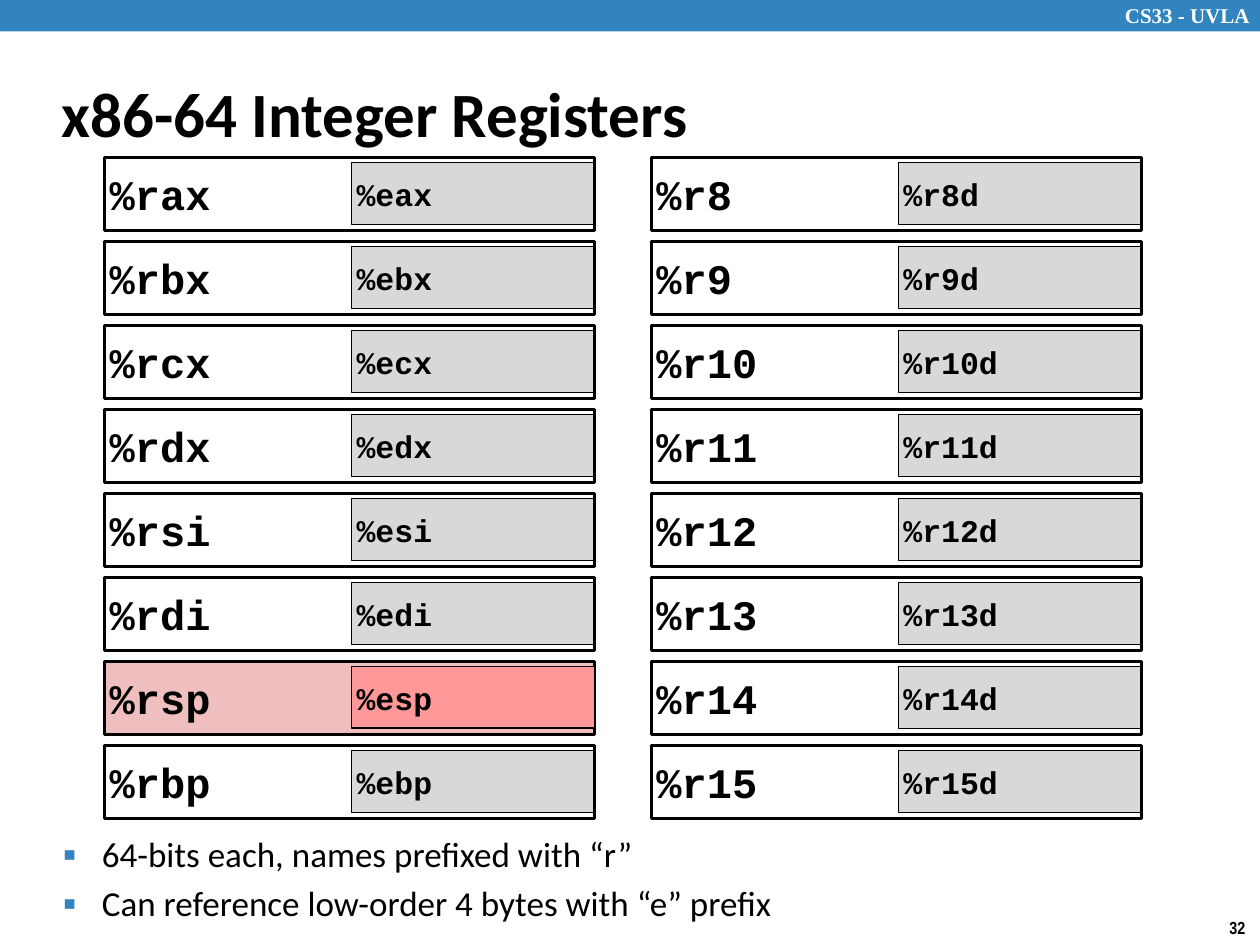
from dataclasses import dataclass

from lxml import etree
from pptx import Presentation
from pptx.dml.color import RGBColor
from pptx.enum.shapes import MSO_SHAPE
from pptx.enum.text import MSO_ANCHOR, PP_ALIGN
from pptx.oxml.ns import qn
from pptx.util import Inches, Pt

RECT = MSO_SHAPE.RECTANGLE
TOP, MIDDLE = MSO_ANCHOR.TOP, MSO_ANCHOR.MIDDLE
LEFT = PP_ALIGN.LEFT


@dataclass(frozen=True)
class Theme:
    accent: str = "3284BF"
    ink: str = "000000"
    paper: str = "FFFFFF"
    half: str = "D8D8D8"
    stack_full: str = "EFBFBF"
    stack_half: str = "FF9999"
    body_font: str = "Calibri"
    code_font: str = "Courier New"
    header_font: str = "Times New Roman"
    number_font: str = "Arial Narrow"
    title_size: int = 36
    full_size: int = 24
    body_size: int = 20
    half_size: int = 18
    header_size: int = 12
    number_size: int = 10


THEME = Theme()
COLUMNS = [
    (0.83, [(f"%r{n}", f"%e{n}") for n in
            ("ax", "bx", "cx", "dx", "si", "di", "sp", "bp")]),
    (5.17, [(f"%r{n}", f"%r{n}d") for n in range(8, 16)]),
]
STACK_POINTER = "%rsp"
FIRST_TOP, ROW_PITCH = 1.25, 2 / 3
BULLETS = ["64-bits each, names prefixed with “r”",
           "Can reference low-order 4 bytes with “e” prefix"]


def write(tf, *lines, font=THEME.body_font, size=THEME.body_size,
          color=THEME.ink, bold=False, anchor=TOP, inset=None):
    """Fill a text frame with one paragraph for each line."""
    tf.word_wrap = True
    tf.vertical_anchor = anchor
    if inset is not None:
        tf.margin_left = tf.margin_right = Inches(inset)
        tf.margin_top = tf.margin_bottom = Inches(inset)
    for i, line in enumerate(lines):
        p = tf.add_paragraph() if i else tf.paragraphs[0]
        p.alignment = LEFT
        r = p.add_run()
        r.text = line
        r.font.name = font
        r.font.size = Pt(size)
        r.font.bold = bold
        r.font.color.rgb = RGBColor.from_string(color)


def add_text(s, box, *lines, **fmt):
    tf = s.shapes.add_textbox(*map(Inches, box)).text_frame
    write(tf, *lines, **fmt)
    return tf


def add_rect(s, box, fill=None, line_width=None):
    sp = s.shapes.add_shape(RECT, *map(Inches, box))
    sp.shadow.inherit = False
    if fill:
        sp.fill.solid()
        sp.fill.fore_color.rgb = RGBColor.from_string(fill)
    else:
        sp.fill.background()
    if line_width:
        sp.line.color.rgb = RGBColor.from_string(THEME.ink)
        sp.line.width = Pt(line_width)
    else:
        sp.line.fill.background()
    return sp


def add_bullet(p):
    p.space_before = Pt(4)
    pPr = p._p.get_or_add_pPr()
    pPr.set("marL", str(Inches(0.81)))
    pPr.set("indent", str(Inches(-0.31)))
    color = etree.SubElement(pPr, qn("a:buClr"))
    etree.SubElement(color, qn("a:srgbClr"), val=THEME.accent)
    etree.SubElement(pPr, qn("a:buSzPct"), val="110000")
    etree.SubElement(pPr, qn("a:buFont"), typeface="Arial")
    etree.SubElement(pPr, qn("a:buChar"), char="▪")


def add_register(s, left, top, full, half):
    """Draw a 64-bit register around its low-order 32-bit half."""
    is_stack = full == STACK_POINTER
    code = dict(font=THEME.code_font, bold=True, anchor=MIDDLE, inset=0.04)
    outer_box = (left, top, 3.89, 0.58)
    inner_box = (left + 1.96, top + 0.04, 1.93, 0.49)

    # An unfilled frame goes over its half; a filled one goes under it.
    if is_stack:
        outer = add_rect(s, outer_box, THEME.stack_full, 2)
        inner = add_rect(s, inner_box, THEME.stack_half, 1)
    else:
        inner = add_rect(s, inner_box, THEME.half, 0.75)
        outer = add_rect(s, outer_box, line_width=2)
    write(outer.text_frame, full, size=THEME.full_size, **code)
    write(inner.text_frame, half, size=THEME.half_size, **code)


def add_header_and_number(s):
    add_rect(s, (0, 0, 10, 0.25), THEME.accent)
    add_text(s, (8.83, -0.03, 1.24, 0.3), "CS33 - UVLA", bold=True,
             font=THEME.header_font, size=THEME.header_size,
             color=THEME.paper)
    add_text(s, (9.66, 7.23, 0.34, 0.27), "32", bold=True,
             font=THEME.number_font, size=THEME.number_size)


def main():
    prs = Presentation()
    prs.slide_width, prs.slide_height = Inches(10), Inches(7.5)
    s = prs.slides.add_slide(prs.slide_layouts[6])

    add_header_and_number(s)
    add_text(s, (0.39, 0.48, 8.3, 0.83), "x86-64 Integer Registers",
             size=THEME.title_size, bold=True, anchor=MIDDLE)
    for left, registers in COLUMNS:
        for row, (full, half) in enumerate(registers):
            add_register(s, left, FIRST_TOP + row * ROW_PITCH, full, half)
    for p in add_text(s, (-0.1, 6.56, 9.65, 0.92), *BULLETS).paragraphs:
        add_bullet(p)

    prs.save("out.pptx")


if __name__ == "__main__":
    main()
